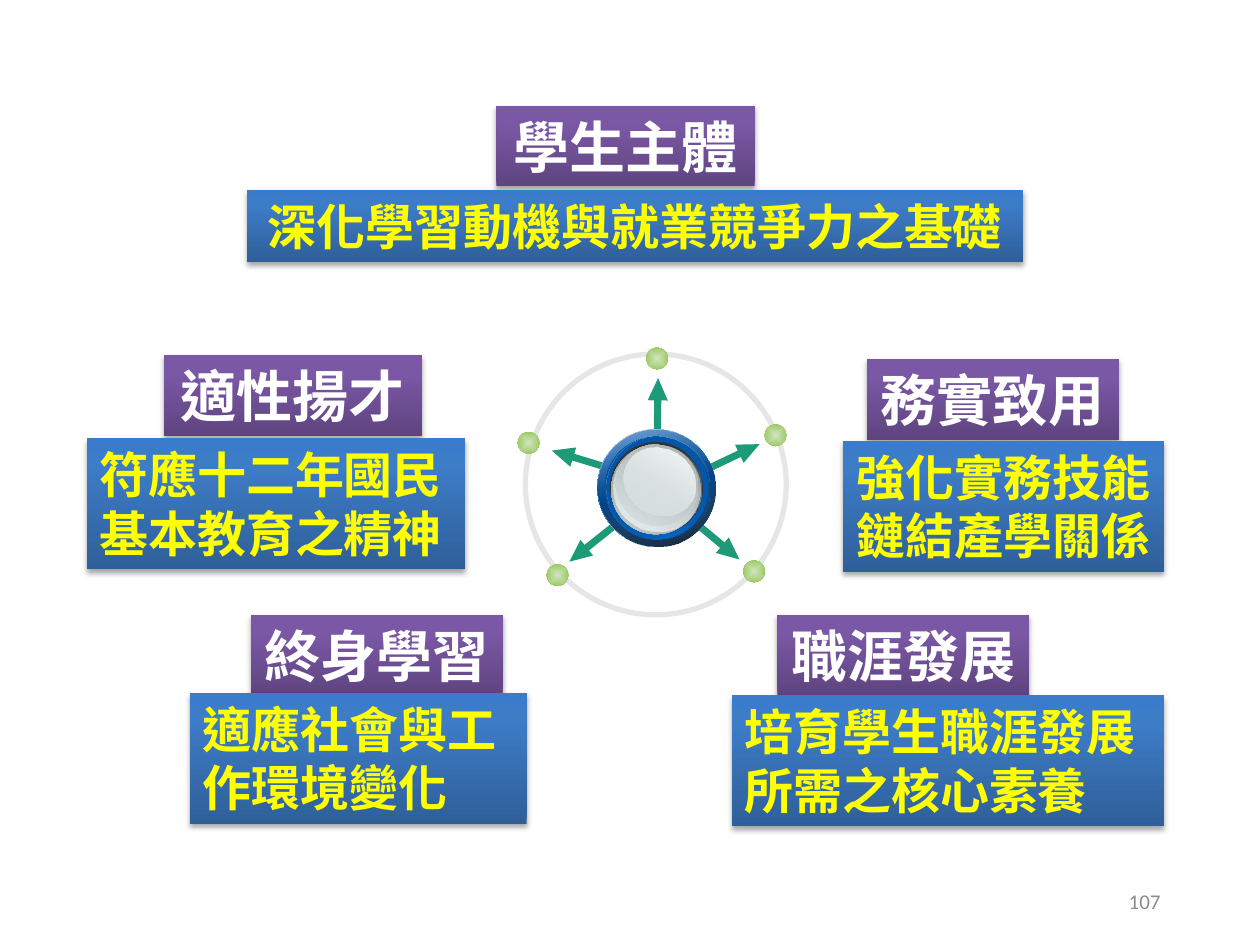
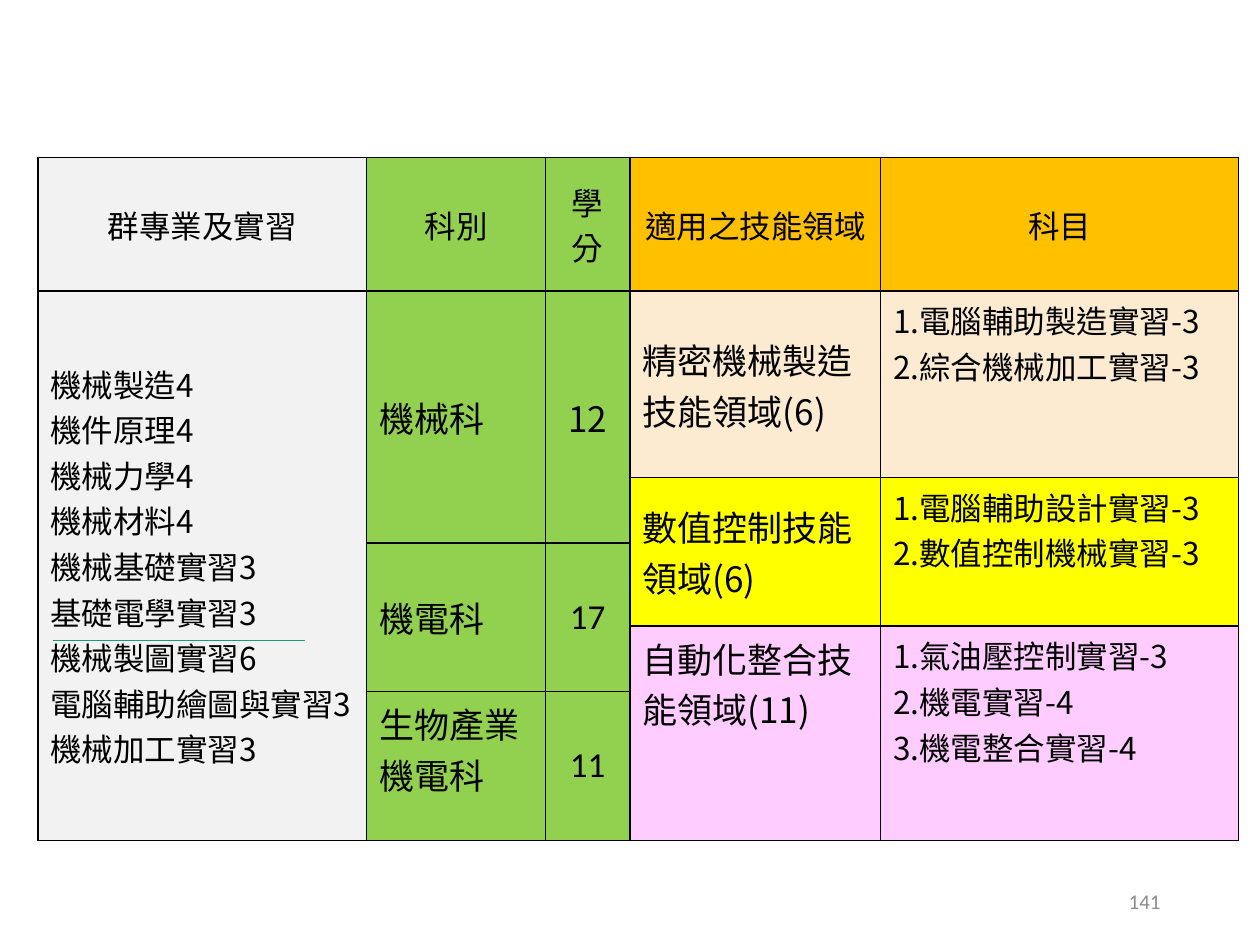
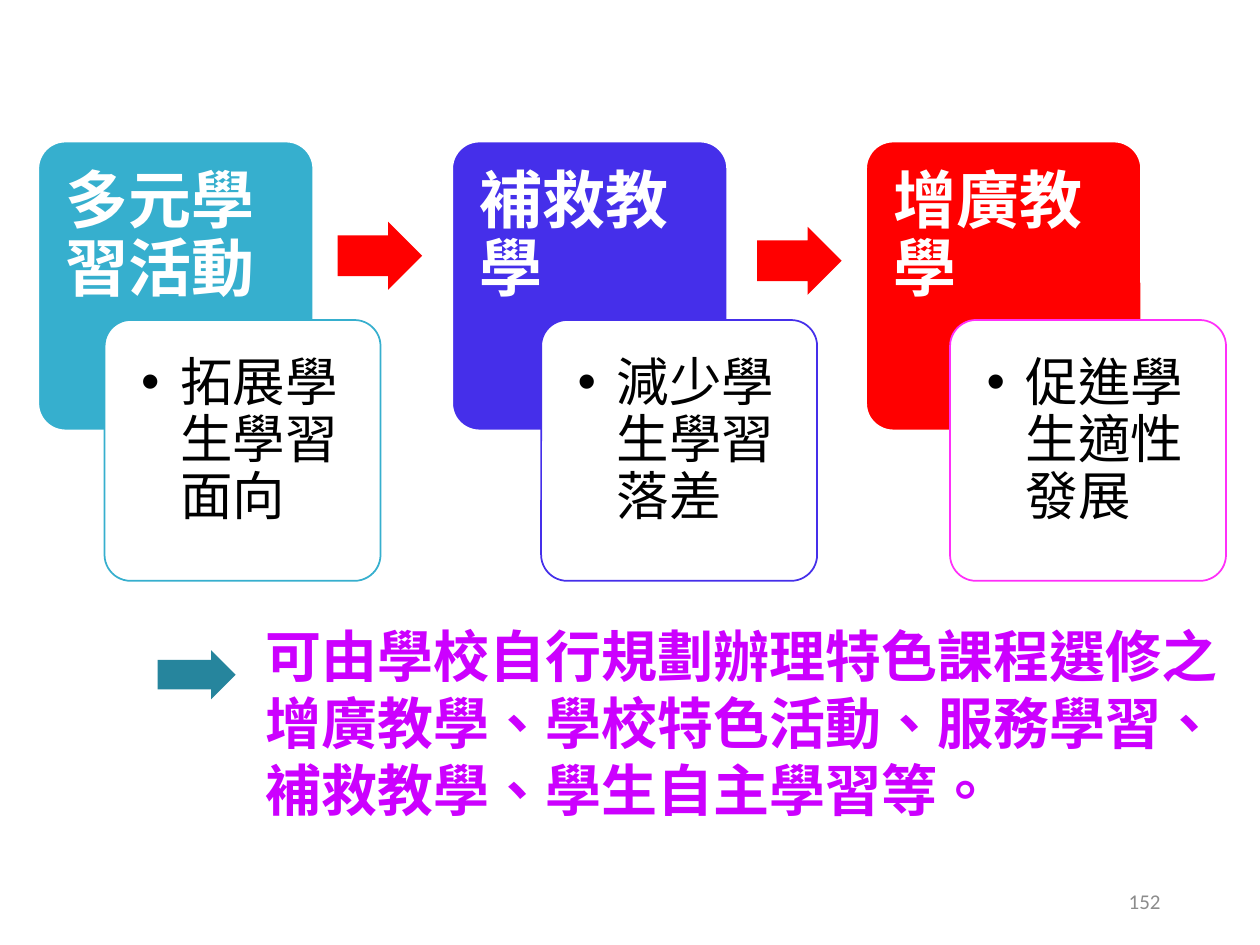
from dataclasses import dataclass
from lxml.etree import SubElement
from pptx import Presentation
from pptx.dml.color import RGBColor
from pptx.enum.shapes import MSO_CONNECTOR, MSO_SHAPE
from pptx.enum.text import MSO_ANCHOR as Anchor, PP_ALIGN as Align
from pptx.oxml import parse_xml
from pptx.oxml.ns import nsdecls, qn
from pptx.util import Inches, Pt

# The slide is a grid of 100 columns by 75 rows with square cells
COLUMNS, ROWS = 100, 75
WIDTH, HEIGHT = Inches(10), Inches(7.5)


@dataclass(frozen=True)
class Box:
    x: float
    y: float
    w: float
    h: float

    def inner(self, x, y, w, h):
        return Box(self.x + x, self.y + y, w, h)

    def emu(self):
        col, row = WIDTH / COLUMNS, HEIGHT / ROWS
        return [round(v) for v in (self.x * col, self.y * row, self.w * col, self.h * row)]


@dataclass(frozen=True)
class Style:
    size: int
    color: str
    bold: bool = False
    font: str = "Noto Sans CJK SC"
    spacing: float = None


@dataclass(frozen=True)
class Gradient:
    stops: tuple  # (position, colour[, opacity]) in percent
    angle: int = None  # None spreads from the centre


class Theme:
    language = "zh-TW"
    # Text styles
    goal = Style(32, "FFFFFF", True)
    detail = Style(28, "FFFF00", True)
    table = Style(18, "000000")
    table_large = Style(20, "000000")
    credits = Style(20, "000000", font="Calibri")
    card_title = Style(36, "FFFFFF", True, spacing=0.9)
    card_body = Style(30, "000000", spacing=0.9)
    summary = Style(32, "CC00FF", True)
    page = Style(12, "8C8C8C", font="Calibri")
    # Insets in inches: left, top, right, bottom
    text_inset = (0.1, 0.05, 0.1, 0.05)
    title_inset = (0.22, 0.22, 0.22, 0.12)
    body_inset = (0.23, 0.23, 0.23, 0.23)
    # Fills
    blue = Gradient(((0, "2F5F99"), (80, "3D7CC7"), (100, "3A7CCB")), 270)
    purple = Gradient(((0, "5F4480"), (80, "7B58A6"), (100, "7C57A8")), 270)
    node = Gradient(((0, "D1E4C3"), (100, "8BC145")))
    teal, dark_teal, ring, red = "1D9A78", "26859D", "E7E6E6", "FF0000"
    white, black, sky, indigo, pink = "FFFFFF", "000000", "36AFCE", "452FEA", "FF2FF9"
    grey, green, orange = "F2F2F2", "92D050", "FFC000"
    cream, yellow, rose = "FCEBD1", "FFFF00", "FFCCFF"


def rgb(color):
    return RGBColor.from_string(color)


def gradient_xml(gradient):
    stops = "".join(
        f'<a:gs pos="{pos * 1000}"><a:srgbClr val="{color}">'
        f'<a:alpha val="{(opacity[0] if opacity else 100) * 1000}"/></a:srgbClr></a:gs>'
        for pos, color, *opacity in gradient.stops)
    if gradient.angle is None:
        course = ('<a:path path="shape"><a:fillToRect l="50000" t="50000" '
                  'r="50000" b="50000"/></a:path>')
    else:
        course = f'<a:lin ang="{gradient.angle * 60000}" scaled="0"/>'
    return parse_xml(f'<a:gradFill {nsdecls("a")} rotWithShape="1">'
                     f'<a:gsLst>{stops}</a:gsLst>{course}</a:gradFill>')


def add_shape(slide, kind, box, fill=None, line=None, rotation=0, adjust=()):
    shape = slide.shapes.add_shape(kind, *box.emu())
    shape.shadow.inherit = False
    shape.rotation = rotation
    for index, value in enumerate(adjust):
        shape.adjustments[index] = value
    if isinstance(fill, str):
        shape.fill.solid()
        shape.fill.fore_color.rgb = rgb(fill)
    else:
        shape.fill.background()
        if fill:
            properties = shape._element.spPr
            properties.replace(properties.find(qn("a:noFill")), gradient_xml(fill))
    if line:
        color, width = line
        shape.line.color.rgb = rgb(color)
        shape.line.width = Pt(width)
    else:
        shape.line.fill.background()
    return shape


def add_shadow(shape):
    effects = shape._element.spPr.find(qn("a:effectLst"))
    effects.append(parse_xml(
        f'<a:outerShdw {nsdecls("a")} blurRad="40000" dist="23000" dir="5400000" rotWithShape="0">'
        '<a:srgbClr val="000000"><a:alpha val="35000"/></a:srgbClr></a:outerShdw>'))


def add_bullet(paragraph, indent):
    properties = paragraph._p.get_or_add_pPr()
    properties.set("marL", str(Inches(indent)))
    properties.set("indent", str(-Inches(indent)))
    SubElement(properties, qn("a:buFont"), typeface="Arial")
    SubElement(properties, qn("a:buChar"), char="•")


def write(frame, text, style, align=Align.LEFT, bullet=None):
    for index, line in enumerate(text.split("\n")):
        paragraph = frame.add_paragraph() if index else frame.paragraphs[0]
        paragraph.text = line
        if bullet:
            add_bullet(paragraph, bullet)
        paragraph.alignment = align
        if style.spacing:
            paragraph.line_spacing = style.spacing
        font = paragraph.font
        font.size, font.bold, font.name = Pt(style.size), style.bold, style.font
        font.color.rgb = rgb(style.color)
        # East Asian face and regional glyph forms
        defaults = paragraph._p.pPr.find(qn("a:defRPr"))
        SubElement(defaults, qn("a:ea"), typeface=style.font)
        for properties in [defaults] + [run._r.get_or_add_rPr() for run in paragraph.runs]:
            properties.set("lang", Theme.language)


def set_frame(frame, inset, anchor=Anchor.TOP, wrap=True):
    frame.word_wrap = wrap
    frame.vertical_anchor = anchor
    (frame.margin_left, frame.margin_top,
     frame.margin_right, frame.margin_bottom) = map(Inches, inset)


def add_text(slide, box, text, style, inset, anchor=Anchor.TOP, **options):
    frame = slide.shapes.add_textbox(*box.emu()).text_frame
    set_frame(frame, inset, anchor)
    write(frame, text, style, **options)


def new_slide(deck, page):
    slide = deck.slides.add_slide(deck.slide_layouts[6])
    add_text(slide, Box(70.6, 69.5, 22.5, 4), page, Theme.page,
             Theme.text_inset, Anchor.MIDDLE, align=Align.RIGHT)
    return slide


# ---- Slide 1: five goals around a hub ----
# Goal, its box, detail, its box, detail alignment
GOALS = [
    ("學生主體", Box(39.4, 8.4, 20.5, 6.4),
     "深化學習動機與就業競爭力之基礎", Box(19.6, 15.1, 61.6, 5.7), Align.CENTER),
    ("適性揚才", Box(13, 28.2, 20.5, 6.4),
     "符應十二年國民\n基本教育之精神", Box(6.9, 34.8, 30, 10.4), Align.LEFT),
    ("務實致用", Box(68.8, 28.5, 20, 6.4),
     "強化實務技能\n鏈結產學關係", Box(66.9, 35, 25.5, 10.4), Align.CENTER),
    ("終身學習", Box(19.9, 48.8, 20, 6.4),
     "適應社會與工作環境變化", Box(15.1, 55, 26.7, 10.4), Align.LEFT),
    ("職涯發展", Box(61.7, 48.8, 20, 6.4),
     "培育學生職涯發展所需之核心素養", Box(58.1, 55.2, 34.3, 10.4), Align.LEFT),
]
# Arrow corner, arrow angle, node corner, all within the wheel
SPOKES = [
    ((8.9, 3.8), 270.8, (10.2, 0)),
    ((3.6, 14.8), 141.3, (2.3, 17.2)),
    ((13.7, 14.6), 39.8, (17.9, 16.9)),
    ((15, 7.8), 334.5, (19.6, 6.1)),
    ((2.6, 8), 197, (0, 6.7)),
]
# Button discs from back to front: place within the wheel, fill
DISCS = [
    ((6.3, 6.5, 9.4, 9.3), Gradient(((0, "FFFFFF"), (50, "0563C1"), (100, "FFFFFF")), 45)),
    ((6.3, 6.5, 9.4, 9.3), Gradient(((0, "0563C1", 32), (100, "000000", 90)), 45)),
    ((6.9, 7.1, 8.2, 8.1), Gradient(((0, "044C94"), (50, "0563C1"), (100, "044C94")), 315)),
    ((7, 7.1, 8.2, 8.1), Gradient(((0, "04519E"), (100, "0563C1", 0)), 45)),
    ((7.3, 7.5, 7.4, 7.3), "333333"),
    ((7.4, 7.7, 7.1, 7.1), Gradient(((0, "636869"), (100, "D6E1E2")), 90)),
    ((7.6, 7.7, 7, 6.9), Gradient(((0, "D6E1E2", 0), (100, "F1F5F5")), 90)),
    ((7.7, 7.7, 6.6, 6.4), Gradient(((0, "AAB2B3"), (100, "D6E1E2", 48)), 90)),
    ((8.3, 8, 5.9, 5.2), Gradient(((0, "FFFFFF"), (100, "D6E1E2", 38)), 90)),
]
WHEEL_TILT = 31.3


def add_label(slide, box, text, style, fill, align, wrap=True):
    label = add_shape(slide, MSO_SHAPE.RECTANGLE, box, fill)
    add_shadow(label)
    set_frame(label.text_frame, Theme.text_inset, wrap=wrap)
    write(label.text_frame, text, style, align)


def add_wheel(slide, box):
    def disc(place, fill=None, line=None):
        add_shape(slide, MSO_SHAPE.OVAL, box.inner(*place), fill, line, WHEEL_TILT)

    for corner, angle, _ in SPOKES:
        add_shape(slide, MSO_SHAPE.RIGHT_ARROW, box.inner(*corner, 4.4, 1.6),
                  Theme.teal, rotation=angle, adjust=(0.352, 1.11))
    disc((0.6, 0.5, 20.7, 20.7), line=(Theme.ring, 3))
    for _, _, corner in SPOKES:
        disc((*corner, 1.7, 1.7), Theme.node)
    for place, fill in DISCS:
        disc(place, fill)


def goals_slide(deck):
    slide = new_slide(deck, "107")
    for goal, goal_box, _, _, _ in GOALS:
        add_label(slide, goal_box, goal, Theme.goal, Theme.purple, Align.CENTER, wrap=False)
    for _, _, detail, detail_box, align in GOALS:
        add_label(slide, detail_box, detail, Theme.detail, Theme.blue, align)
    add_wheel(slide, Box(41.1, 27.6, 21.3, 21.2))


# ---- Slide 2: course table ----
COLUMN_WIDTHS = (26.1, 14.2, 6.7, 19.9, 28.4)
ROW_HEIGHTS = (10.6, 14.8, 5.2, 6.6, 5.2, 11.8)
HEADINGS = [("群專業及實習", Theme.grey), ("科別", Theme.green), ("學分", Theme.green),
            ("適用之技能領域", Theme.orange), ("科目", Theme.orange)]
CORE_COURSES = "\n".join((
    "機械製造4", "機件原理4", "機械力學4", "機械材料4", "機械基礎實習3", "基礎電學實習3",
    "機械製圖實習6", "電腦輔助繪圖與實習3", "機械加工實習3"))
# Row, column, rows spanned, text, style, fill, alignment, anchor
COURSE_CELLS = [
    (1, 0, 5, CORE_COURSES, Theme.table, Theme.grey, Align.LEFT, Anchor.MIDDLE),
    (1, 1, 2, "機械科", Theme.table_large, Theme.green, Align.LEFT, Anchor.MIDDLE),
    (3, 1, 2, "機電科", Theme.table_large, Theme.green, Align.LEFT, Anchor.MIDDLE),
    (5, 1, 1, "生物產業機電科", Theme.table_large, Theme.green, Align.LEFT, Anchor.TOP),
    (1, 2, 2, "12", Theme.table_large, Theme.green, Align.CENTER, Anchor.MIDDLE),
    (3, 2, 2, "17", Theme.credits, Theme.green, Align.CENTER, Anchor.MIDDLE),
    (5, 2, 1, "11", Theme.credits, Theme.green, Align.CENTER, Anchor.MIDDLE),
    (1, 3, 1, "精密機械製造技能領域(6)", Theme.table_large, Theme.cream, Align.LEFT, Anchor.MIDDLE),
    (2, 3, 2, "數值控制技能領域(6)", Theme.table_large, Theme.yellow, Align.LEFT, Anchor.MIDDLE),
    (4, 3, 2, "自動化整合技能領域(11)", Theme.table_large, Theme.rose, Align.LEFT, Anchor.TOP),
    (1, 4, 1, "1.電腦輔助製造實習-3\n2.綜合機械加工實習-3",
     Theme.table, Theme.cream, Align.LEFT, Anchor.TOP),
    (2, 4, 2, "1.電腦輔助設計實習-3\n2.數值控制機械實習-3",
     Theme.table, Theme.yellow, Align.LEFT, Anchor.TOP),
    (4, 4, 2, "1.氣油壓控制實習-3\n2.機電實習-4\n3.機電整合實習-4",
     Theme.table, Theme.rose, Align.LEFT, Anchor.TOP),
]


def format_cell(cell, fill):
    properties = cell._tc.get_or_add_tcPr()
    for side in ("lnL", "lnR", "lnT", "lnB"):
        properties.append(parse_xml(
            f'<a:{side} {nsdecls("a")} w="12700"><a:solidFill>'
            f'<a:srgbClr val="{Theme.black}"/></a:solidFill></a:{side}>'))
    cell.fill.solid()
    cell.fill.fore_color.rgb = rgb(fill)


def add_course_table(slide, box):
    table = slide.shapes.add_table(len(ROW_HEIGHTS), len(COLUMN_WIDTHS), *box.emu()).table
    for column, width in zip(table.columns, COLUMN_WIDTHS):
        column.width = round(WIDTH * width / COLUMNS)
    for row, height in zip(table.rows, ROW_HEIGHTS):
        row.height = round(HEIGHT * height / ROWS)
    headings = [(0, column, 1, text, Theme.table, fill, Align.CENTER, Anchor.MIDDLE)
                for column, (text, fill) in enumerate(HEADINGS)]
    for top, column, span, text, style, fill, align, anchor in headings + COURSE_CELLS:
        for row in range(top, top + span):
            format_cell(table.cell(row, column), fill)
        cell = table.cell(top, column)
        if span > 1:
            cell.merge(table.cell(top + span - 1, column))
        cell.vertical_anchor = anchor
        write(cell.text_frame, text, style, align)


def add_strike(slide, box):
    x, y, w, _ = box.emu()
    strike = slide.shapes.add_connector(MSO_CONNECTOR.STRAIGHT, x, y, x + w, y)
    strike.line.color.rgb = rgb(Theme.teal)
    strike.line.width = Pt(0.5)
    SubElement(strike._element.spPr, qn("a:effectLst"))


def courses_slide(deck):
    slide = new_slide(deck, "141")
    table_box = Box(3, 12.5, sum(COLUMN_WIDTHS), sum(ROW_HEIGHTS))
    add_course_table(slide, table_box)
    add_strike(slide, table_box.inner(1.2, 38.3, 20, 0))


# ---- Slide 3: three teaching steps and a summary ----
# Title, fill, body, body outline, body offset from the card
STEPS = [
    ("多元學習活動", Theme.sky, "拓展學生學習面向", Theme.sky, 5.3),
    ("補救教學", Theme.indigo, "減少學生學習落差", Theme.indigo, 7.1),
    ("增廣教學", Theme.red, "促進學生適性發展", Theme.pink, 6.7),
]
STEP_PITCH = 32.85


def add_step(slide, box, title, fill, body, outline, offset):
    add_shape(slide, MSO_SHAPE.ROUNDED_RECTANGLE, box, fill, (Theme.white, 1.5), adjust=(0.1,))
    add_text(slide, box.inner(0, 0, box.w, 14.2), title, Theme.card_title, Theme.title_inset)
    body_box = box.inner(offset, 14.2, box.w, 20.7)
    add_shape(slide, MSO_SHAPE.ROUNDED_RECTANGLE, body_box, Theme.white,
              (outline, 1), adjust=(0.1,))
    add_text(slide, body_box.inner(0.6, 0.6, 20.6, 19.5), body, Theme.card_body,
             Theme.body_inset, bullet=0.31)


def add_arrow(slide, box, fill):
    add_shape(slide, MSO_SHAPE.RIGHT_ARROW, box, fill, adjust=(0.6, 0.5))


def add_summary(slide, box):
    add_arrow(slide, box.inner(0, 2.8, 6.2, 3.9), Theme.dark_teal)
    add_text(slide, box.inner(7.6, 0, 78.2, 17.2),
             "可由學校自行規劃辦理特色課程選修之\n增廣教學、學校特色活動、服務學習、\n補救教學、學生自主學習等。",
             Theme.summary, Theme.text_inset)


def steps_slide(deck):
    slide = new_slide(deck, "152")
    add_summary(slide, Box(12.5, 48.8, 85.8, 17.2))
    for index, step in enumerate(STEPS):
        add_step(slide, Box(3 + index * STEP_PITCH, 11.2, 21.9, 23), *step)
    for x, y in ((26.8, 17.6), (60.1, 18)):
        add_arrow(slide, Box(x, y, 6.7, 5.4), Theme.red)


def main():
    deck = Presentation()
    deck.slide_width, deck.slide_height = WIDTH, HEIGHT
    goals_slide(deck)
    courses_slide(deck)
    steps_slide(deck)
    deck.save("out.pptx")


if __name__ == "__main__":
    main()
